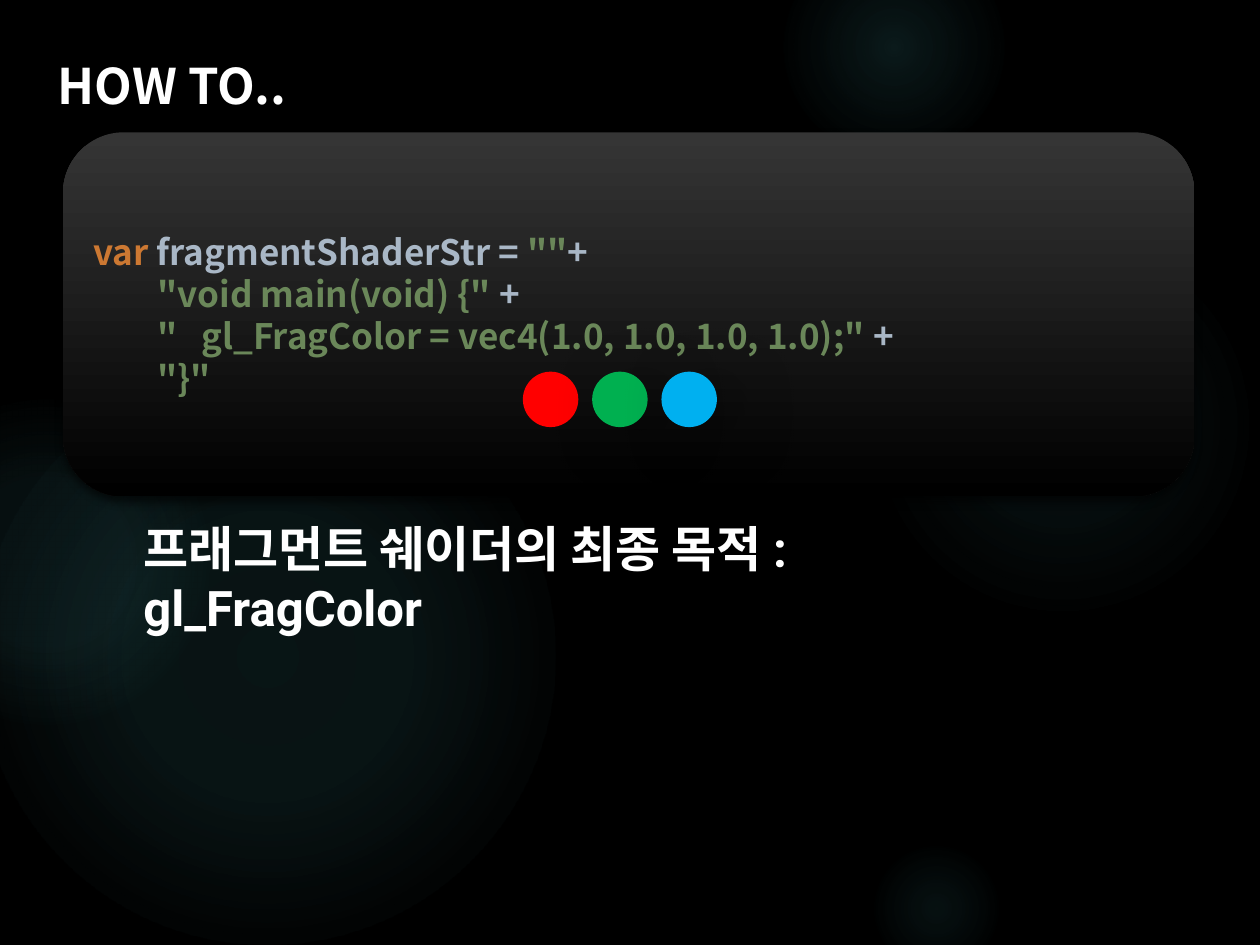
from lxml import etree
from pptx import Presentation
from pptx import util as u
from pptx.dml.color import RGBColor
from pptx.enum import shapes, text
from pptx.oxml import ns

COLORS = {
    "black": "000000", "white": "FFFFFF", "glow": "50B9C1", "panel": "353535",
    "keyword": "CC7832", "code": "A9B7C6", "string": "6A8759",
    "red": "FF0000", "green": "00B050", "blue": "00B0F0",
}
KOREAN, LATIN = "Noto Sans CJK KR", "Roboto"

deck = Presentation()
deck.slide_width, deck.slide_height = u.Inches(10), u.Inches(7.5)
page = deck.slides.add_slide(deck.slide_layouts[6])
page.background.fill.solid()
page.background.fill.fore_color.rgb = RGBColor.from_string(COLORS["black"])
CELL = deck.slide_width / 100


def add_shape(parent, kind, area, fill, shadow=None):
    shape = parent.add_shape(kind, *[round(cells * CELL) for cells in area])
    shape.line.fill.background()
    shape.shadow.inherit = False
    properties = shape._element.spPr
    if isinstance(fill, str):
        shape.fill.solid()
        shape.fill.fore_color.rgb = RGBColor.from_string(COLORS[fill])
    else:
        stops, direction = fill
        marks = "".join(
            f'<a:gs pos="{place * 1000}"><a:srgbClr val="{COLORS[name]}">'
            f'<a:alpha val="{alpha * 1000}"/></a:srgbClr></a:gs>'
            for place, name, alpha in stops)
        gradient = etree.fromstring(
            f'<a:gradFill {ns.nsdecls("a")} rotWithShape="1">'
            f'<a:gsLst>{marks}</a:gsLst>{direction}</a:gradFill>')
        properties.find(ns.qn("a:prstGeom")).addnext(gradient)
    if shadow:
        alpha, blur, distance, angle = shadow
        effects = properties.find(ns.qn("a:effectLst"))
        outer = etree.SubElement(
            effects, ns.qn("a:outerShdw"), blurRad=str(u.Pt(blur)),
            dist=str(u.Pt(distance)), dir=str(angle * 60000), rotWithShape="0")
        tint = etree.SubElement(outer, ns.qn("a:srgbClr"), val=COLORS["black"])
        etree.SubElement(tint, ns.qn("a:alpha"), val=str(alpha * 1000))
    return shape


def add_runs(para, runs, size, font, line):
    para.alignment = text.PP_ALIGN.LEFT
    para.line_spacing = u.Pt(line)
    for words, color in runs:
        for number, part in enumerate(words.split("\n")):
            if number:
                para.add_line_break()
            if not part:
                continue
            span = para.add_run()
            span.text = part
            span.font.size, span.font.bold, span.font.name = u.Pt(size), True, font
            span.font.color.rgb = RGBColor.from_string(COLORS[color])
            latin = span._r.rPr.find(ns.qn("a:latin"))
            latin.addnext(etree.Element(ns.qn("a:ea"), typeface=KOREAN))


radial = ('<a:path path="circle"><a:fillToRect l="50000" t="50000" '
          'r="50000" b="50000"/></a:path>')
glows = [
    (68.9, 18.3, 30.8, 7, 6, 69),
    (62.2, -5, 17.5, 14, 7, 73),
    (68.9, 66.7, 10.8, 9, 5, 66),
    (-1.7, 29.2, 45.8, 11, 10, 75),
    (-9.2, 31.7, 25.8, 8, 8, 72),
]
for left, top, size, center, middle, edge in glows:
    stops = [(0, "glow", center), (36, "glow", middle), (edge, "glow", 0)]
    add_shape(page.shapes, shapes.MSO_SHAPE.OVAL, (left, top, size, size),
              (stops, radial))

panel = add_shape(
    page.shapes, shapes.MSO_SHAPE.ROUNDED_RECTANGLE, (5, 10.5, 89.8, 28.9),
    ([(0, "panel", 100), (100, "black", 100)], '<a:lin ang="5400000" scaled="0"/>'),
    shadow=(60, 5, 3, 90))
panel.text_frame.word_wrap = True
panel.text_frame.vertical_anchor = text.MSO_ANCHOR.MIDDLE
para = panel.text_frame.paragraphs[0]
hang = round(5.1 * CELL)
para._p.get_or_add_pPr().set("marL", str(hang))
para._p.get_or_add_pPr().set("indent", str(-hang))
add_runs(para, [
    ("var ", "keyword"), ("fragmentShaderStr = ", "code"),
    ('""', "string"), ("+\n", "code"),
    ('"void main(void) {" ', "string"), ("+\n", "code"),
    ('"   gl_FragColor = vec4(1.0, 1.0, 1.0, 1.0);" ', "string"), ("+\n", "code"),
    ('"}"', "string"),
], 20, KOREAN, 24)

headings = [
    ("HOW TO..", (3.6, 3.6, 69.5, 5.7), KOREAN, 36),
    ("프래그먼트 쉐이더의 최종 목적 : gl_FragColor", (10.4, 40.6, 74.4, 5.7), LATIN, 34),
]
for words, area, font, line in headings:
    box = page.shapes.add_textbox(*[round(cells * CELL) for cells in area])
    box.text_frame.word_wrap = True
    add_runs(box.text_frame.paragraphs[0], [(words, "white")], 28, font, line)

dots = page.shapes.add_group_shape()
for column, name in enumerate(["red", "green", "blue"]):
    add_shape(dots.shapes, shapes.MSO_SHAPE.OVAL,
              (41.5 + 5.5 * column, 29.5, 4.4, 4.4), name,
              shadow=(40, 39, 14, 33) if column else None)

deck.save("out.pptx")
